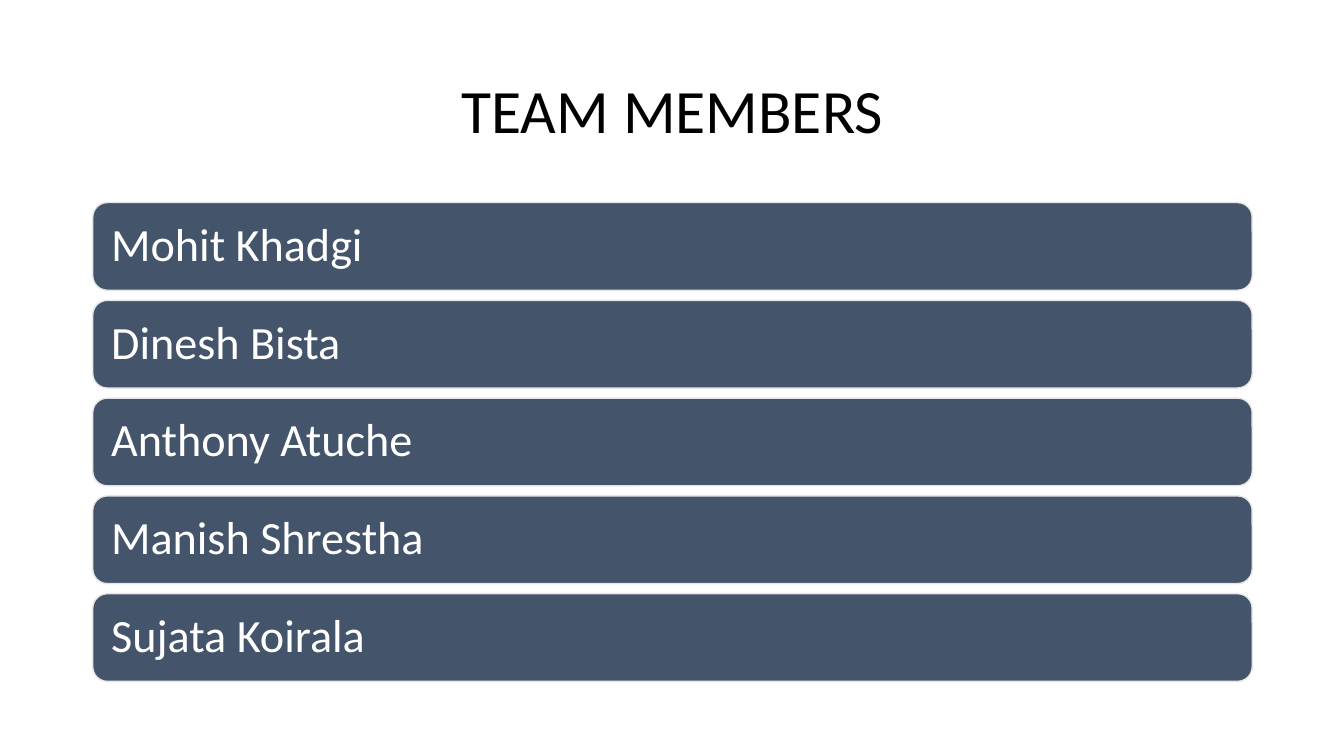
from pptx import Presentation
from pptx.dml.color import RGBColor
from pptx.enum.shapes import MSO_SHAPE
from pptx.enum.text import MSO_ANCHOR, MSO_AUTO_SIZE, PP_ALIGN
from pptx.util import Inches, Pt

ROUNDED = MSO_SHAPE.ROUNDED_RECTANGLE
MIDDLE = MSO_ANCHOR.MIDDLE
NO_AUTOFIT = MSO_AUTO_SIZE.NONE
CENTER, LEFT = PP_ALIGN.CENTER, PP_ALIGN.LEFT

BLACK = RGBColor(0x00, 0x00, 0x00)
WHITE = RGBColor(0xFF, 0xFF, 0xFF)
SLATE = RGBColor(0x44, 0x54, 0x6A)
PALE_GREY = RGBColor(0xE7, 0xE6, 0xE6)

TITLE_FONT = {"name": "Calibri", "size": Pt(44), "bold": False}
MEMBER_FONT = {"name": "Calibri", "size": Pt(33), "bold": False}
BAR_INSETS = {
    f"margin_{side}": Inches(0.14) for side in ("left", "top", "right", "bottom")
}

TITLE_BOX = (0.92, 0.4, 11.5, 1.45)
MEMBERS_BOX = (0.92, 2.01, 11.5, 4.75)
BAR_HEIGHT = 0.87
MEMBERS = [
    "Mohit Khadgi",
    "Dinesh Bista",
    "Anthony Atuche",
    "Manish Shrestha",
    "Sujata Koirala",
]


def apply_format(target, values):
    """Set every attribute named in values on the target."""
    for name, value in values.items():
        setattr(target, name, value)


def write_line(frame, wording, font, color, alignment):
    """Fill a text frame with one vertically centred line."""
    apply_format(frame, {
        "text": wording,
        "word_wrap": True,
        "auto_size": NO_AUTOFIT,
        "vertical_anchor": MIDDLE,
    })
    line = frame.paragraphs[0]
    apply_format(line, {"alignment": alignment, "line_spacing": 0.9})
    apply_format(line.font, font)
    line.font.color.rgb = color


def place_title(slide, box, wording):
    """Move the title placeholder into the box and write the heading."""
    heading = slide.shapes.title
    sides = ("left", "top", "width", "height")
    apply_format(heading, dict(zip(sides, map(Inches, box))))
    write_line(heading.text_frame, wording, TITLE_FONT, BLACK, CENTER)


def add_members(slide, box, members):
    """Stack one name bar per member, evenly spread over the box."""
    left, top, width, height = box
    pitch = (height - BAR_HEIGHT) / (len(members) - 1)
    for row, member in enumerate(members):
        bar = slide.shapes.add_shape(
            ROUNDED, Inches(left), Inches(top + row * pitch),
            Inches(width), Inches(BAR_HEIGHT),
        )
        bar.shadow.inherit = False
        bar.fill.solid()
        bar.fill.fore_color.rgb = SLATE
        bar.line.color.rgb = PALE_GREY
        bar.line.width = Pt(1)
        apply_format(bar.text_frame, BAR_INSETS)
        write_line(bar.text_frame, member, MEMBER_FONT, WHITE, LEFT)


def main():
    """Build the team slide and save it."""
    deck = Presentation()
    deck.slide_width, deck.slide_height = Inches(13.33), Inches(7.5)
    slide = deck.slides.add_slide(deck.slide_layouts.get_by_name("Title Only"))
    place_title(slide, TITLE_BOX, "TEAM MEMBERS")
    add_members(slide, MEMBERS_BOX, MEMBERS)
    deck.save("out.pptx")


if __name__ == "__main__":
    main()
